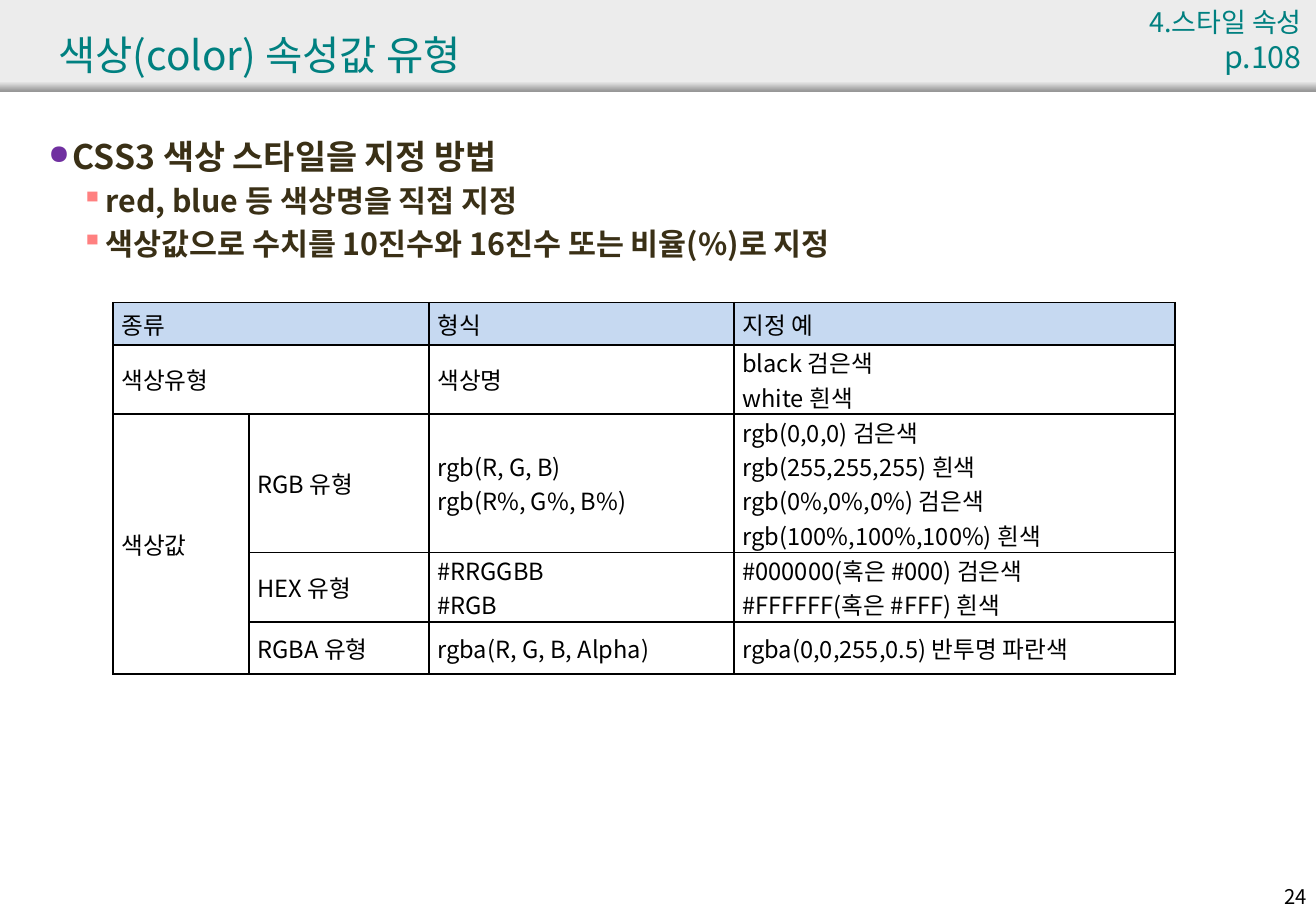
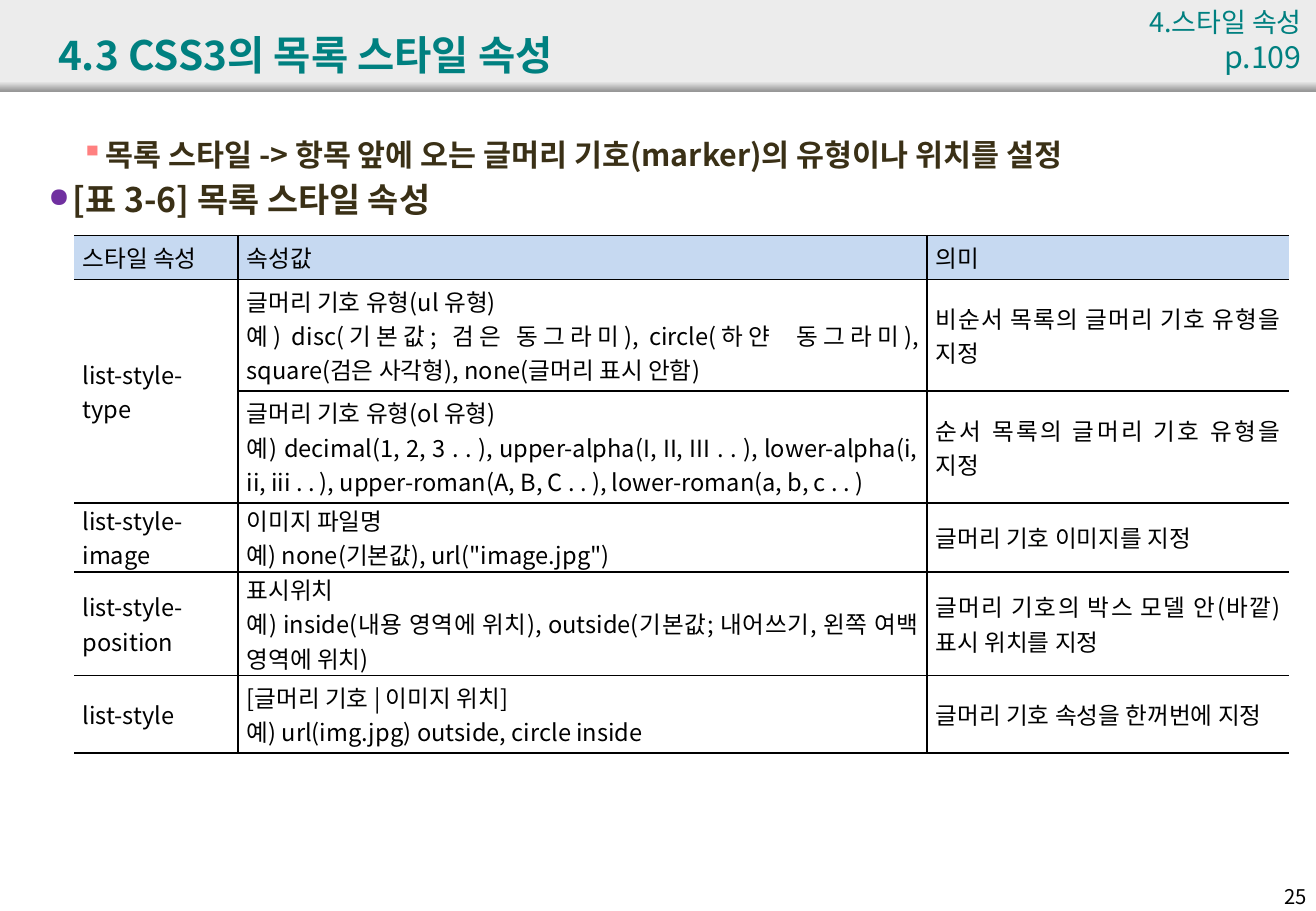
from dataclasses import dataclass

import lxml.etree
import pptx
import pptx.dml.color
import pptx.enum.shapes
import pptx.enum.text
import pptx.oxml.ns
import pptx.util

Inches = pptx.util.Inches
Pt = pptx.util.Pt
RGBColor = pptx.dml.color.RGBColor
Align = pptx.enum.text.PP_ALIGN
Anchor = pptx.enum.text.MSO_ANCHOR
qn = pptx.oxml.ns.qn

FONT = "Noto Sans CJK KR"
BULLET_FONT = "OpenSymbol"
BLACK = RGBColor(0, 0, 0)
TEAL = RGBColor(0x00, 0x80, 0x80)
BROWN = RGBColor(0x3A, 0x30, 0x16)
PURPLE = RGBColor(0x70, 0x30, 0xA0)
CORAL = RGBColor(0xFF, 0x80, 0x80)
BAND_GRAY = RGBColor(0xEC, 0xEC, 0xEC)
EDGE_GRAY = RGBColor(0x97, 0x97, 0x97)
HEADER_BLUE = RGBColor(0xC6, 0xD9, 0xF1)
SLIDE_WIDTH = 10.83
HANGING = 0.2
CELL_INSET = 0.07


@dataclass(frozen=True)
class BulletLevel:
    symbol: str
    color: RGBColor
    percent: int
    margin: float
    size: int
    space_before: float


@dataclass(frozen=True)
class Bullet:
    level: BulletLevel
    text: str


@dataclass(frozen=True)
class Grid:
    left: float
    top: float
    columns: list[float]
    rows: list[float]
    cells: list[list[str]]
    merges: list[tuple[int, int, int, int]]
    open_sides: bool = False


@dataclass(frozen=True)
class Page:
    number: int
    title: str
    title_bold: bool
    book_page: str
    bullets: list[Bullet]
    grid: Grid


TOPIC = BulletLevel("●", PURPLE, 80, 0.2, 20, 4)
DETAIL = BulletLevel("▪", CORAL, 100, 0.47, 18, 3.6)

PAGES = [
    Page(
        24, "색상(color) 속성값 유형", False, "p.108",
        [
            Bullet(TOPIC, "CSS3 색상 스타일을 지정 방법"),
            Bullet(DETAIL, "red, blue 등 색상명을 직접 지정"),
            Bullet(DETAIL, "색상값으로 수치를 10진수와 16진수 또는 비율(%)로 지정"),
        ],
        Grid(
            0.93, 2.49, [1.12, 1.48, 2.51, 3.63], [0.35, 0.57, 1.14, 0.57, 0.43],
            [
                ["종류", "", "형식", "지정 예"],
                ["색상유형", "", "색상명", "black 검은색\nwhite 흰색"],
                ["색상값", "RGB 유형", "rgb(R, G, B)\nrgb(R%, G%, B%)",
                 "rgb(0,0,0) 검은색\nrgb(255,255,255) 흰색\n"
                 "rgb(0%,0%,0%) 검은색\nrgb(100%,100%,100%) 흰색"],
                ["", "HEX 유형", "#RRGGBB\n#RGB",
                 "#000000(혹은 #000) 검은색\n#FFFFFF(혹은 #FFF) 흰색"],
                ["", "RGBA 유형", "rgba(R, G, B, Alpha)",
                 "rgba(0,0,255,0.5) 반투명 파란색"],
            ],
            [(0, 0, 0, 1), (1, 0, 1, 1), (2, 0, 4, 0)],
        ),
    ),
    Page(
        25, "4.3 CSS3의 목록 스타일 속성", True, "p.109",
        [
            Bullet(DETAIL, "목록 스타일 -> 항목 앞에 오는 글머리 기호(marker)의 유형이나 위치를 설정"),
            Bullet(TOPIC, "[표 3-6] 목록 스타일 속성"),
        ],
        Grid(
            0.61, 1.94, [1.35, 5.67, 2.98], [0.36, 0.92, 0.92, 0.57, 0.85, 0.64],
            [
                ["스타일 속성", "속성값", "의미"],
                ["list-style-type",
                 "글머리 기호 유형(ul 유형)\n예) disc(기본값; 검은 동그라미), "
                 "circle(하얀  동그라미), square(검은 사각형), none(글머리 표시 안함)",
                 "비순서 목록의 글머리 기호 유형을 지정"],
                ["",
                 "글머리 기호 유형(ol 유형)\n예) decimal(1, 2, 3 . . ), "
                 "upper-alpha(I, II, III . . ), lower-alpha(i, ii, iii . . ), "
                 "upper-roman(A, B, C . . ), lower-roman(a, b, c . . )",
                 "순서 목록의 글머리 기호 유형을 지정"],
                ["list-style-image",
                 "이미지 파일명\n예) none(기본값), url(\"image.jpg\")",
                 "글머리 기호 이미지를 지정"],
                ["list-style-position",
                 "표시위치\n예) inside(내용 영역에 위치), "
                 "outside(기본값; 내어쓰기, 왼쪽 여백 영역에 위치)",
                 "글머리 기호의 박스 모델 안(바깥) 표시 위치를 지정"],
                ["list-style",
                 "[글머리 기호 | 이미지 위치]\n예) url(img.jpg) outside, circle inside",
                 "글머리 기호 속성을 한꺼번에 지정"],
            ],
            [(1, 0, 2, 0)], open_sides=True,
        ),
    ),
]


def write(paragraph, text: str, *, size: float, color: RGBColor = BLACK,
          bold: bool = False, align: Align = Align.LEFT) -> None:
    paragraph.alignment = align
    run = paragraph.add_run()
    run.text = text
    run.font.size = Pt(size)
    run.font.bold = bold
    run.font.color.rgb = color
    run.font.name = FONT
    properties = run.font._element
    properties.set("kern", "0")
    east_asian = lxml.etree.Element(qn("a:ea"), typeface=FONT)
    properties.find(qn("a:latin")).addnext(east_asian)


def add_frame(slide, left: float, top: float, width: float, height: float,
              anchor: Anchor = Anchor.TOP):
    box = slide.shapes.add_textbox(Inches(left), Inches(top), Inches(width), Inches(height))
    box.text_frame.word_wrap = True
    box.text_frame.vertical_anchor = anchor
    return box.text_frame


def add_band(slide, top: float, height: float):
    band = slide.shapes.add_shape(
        pptx.enum.shapes.MSO_SHAPE.RECTANGLE,
        Inches(0), Inches(top), Inches(SLIDE_WIDTH), Inches(height))
    band.shadow.inherit = False
    band.line.fill.background()
    return band


def add_header(slide, page: Page) -> None:
    band = add_band(slide, 0, 0.75)
    band.fill.solid()
    band.fill.fore_color.rgb = BAND_GRAY
    edge = add_band(slide, 0.67, 0.08)
    edge.fill.gradient()
    edge.fill.gradient_angle = 270
    for stop, color in zip(edge.fill.gradient_stops, (BAND_GRAY, EDGE_GRAY)):
        stop.color.rgb = color

    title = add_frame(slide, 0.38, 0.13, 9.92, 0.63, Anchor.MIDDLE)
    write(title.paragraphs[0], page.title, size=24, color=TEAL, bold=page.title_bold)
    chapter = add_frame(slide, 9.33, 0, 1.48, 0.4).paragraphs[0]
    write(chapter, "4.스타일 속성 ", size=16, color=TEAL, align=Align.RIGHT)
    write(chapter, page.book_page, size=18, color=TEAL, align=Align.RIGHT)


def add_page_number(slide, number: int) -> None:
    footer = add_frame(slide, 10.3, 7.23, 0.55, 0.3)
    write(footer.paragraphs[0], str(number), size=12, align=Align.RIGHT)


def set_bullet(paragraph, level: BulletLevel) -> None:
    properties = paragraph._p.get_or_add_pPr()
    properties.set("marL", str(Inches(level.margin)))
    properties.set("indent", str(-Inches(HANGING)))
    tint = lxml.etree.SubElement(properties, qn("a:buClr"))
    lxml.etree.SubElement(tint, qn("a:srgbClr"), val=str(level.color))
    lxml.etree.SubElement(properties, qn("a:buSzPct"), val=str(level.percent * 1000))
    lxml.etree.SubElement(properties, qn("a:buFont"), typeface=BULLET_FONT)
    lxml.etree.SubElement(properties, qn("a:buChar"), char=level.symbol)


def add_bullets(slide, bullets: list[Bullet]) -> None:
    body = add_frame(slide, 0.3, 1.07, 10.32, 6.22)
    for index, bullet in enumerate(bullets):
        paragraph = body.add_paragraph() if index else body.paragraphs[0]
        set_bullet(paragraph, bullet.level)
        if index:
            paragraph.space_before = Pt(bullet.level.space_before)
        write(paragraph, bullet.text, size=bullet.level.size, color=BROWN, bold=True)


def set_borders(cell, hidden: set[str]) -> None:
    properties = cell._tc.get_or_add_tcPr()
    for side in "LRTB":
        border = lxml.etree.SubElement(properties, qn(f"a:ln{side}"), w=str(Pt(1)))
        if side in hidden:
            lxml.etree.SubElement(border, qn("a:noFill"))
        else:
            fill = lxml.etree.SubElement(border, qn("a:solidFill"))
            lxml.etree.SubElement(fill, qn("a:srgbClr"), val=str(BLACK))


def fill_cell(cell, text: str, is_header: bool) -> None:
    cell.margin_left = cell.margin_right = Inches(CELL_INSET)
    cell.margin_top = cell.margin_bottom = 0
    cell.vertical_anchor = Anchor.MIDDLE
    if is_header:
        cell.fill.solid()
        cell.fill.fore_color.rgb = HEADER_BLUE
    else:
        cell.fill.background()
    if cell.is_spanned:
        return
    for index, line in enumerate(text.split("\n")):
        frame = cell.text_frame
        paragraph = frame.add_paragraph() if index else frame.paragraphs[0]
        write(paragraph, line, size=14, align=Align.JUSTIFY)


def add_grid(slide, grid: Grid) -> None:
    table = slide.shapes.add_table(
        len(grid.rows), len(grid.columns), Inches(grid.left), Inches(grid.top),
        Inches(sum(grid.columns)), Inches(sum(grid.rows))).table
    table.first_row = table.horz_banding = False
    for column, width in zip(table.columns, grid.columns):
        column.width = Inches(width)
    for row, height in zip(table.rows, grid.rows):
        row.height = Inches(height)
    for top, left, bottom, right in grid.merges:
        table.cell(top, left).merge(table.cell(bottom, right))
    last = len(grid.columns) - 1
    for r, texts in enumerate(grid.cells):
        for c, text in enumerate(texts):
            hidden = {side for side, edge in (("L", 0), ("R", last))
                      if grid.open_sides and c == edge}
            set_borders(table.cell(r, c), hidden)
            fill_cell(table.cell(r, c), text, r == 0)


def main() -> None:
    deck = pptx.Presentation()
    deck.slide_width = Inches(SLIDE_WIDTH)
    deck.slide_height = Inches(7.5)
    for page in PAGES:
        slide = deck.slides.add_slide(deck.slide_layouts[6])
        add_header(slide, page)
        add_page_number(slide, page.number)
        add_bullets(slide, page.bullets)
        add_grid(slide, page.grid)
    deck.save("out.pptx")


if __name__ == "__main__":
    main()
